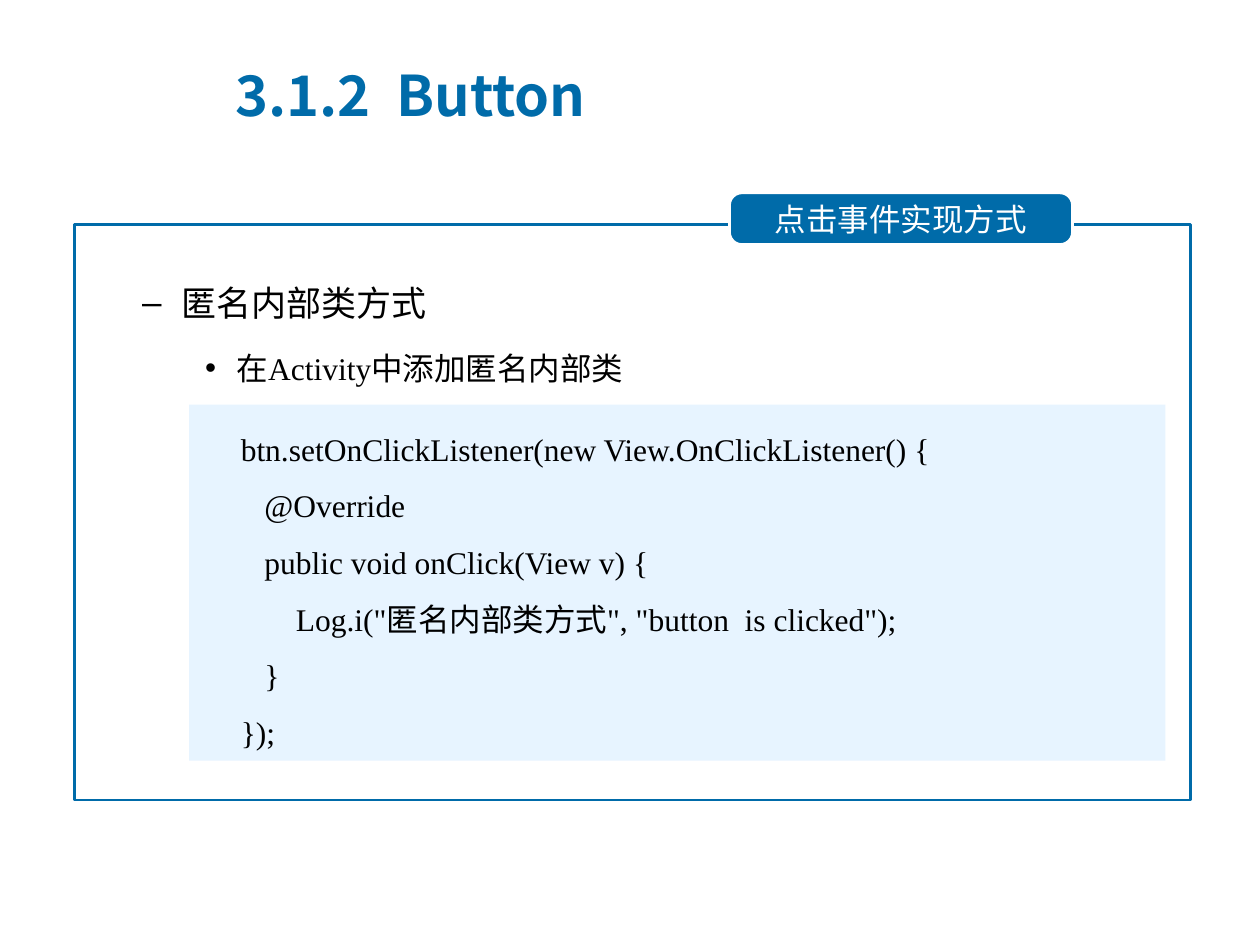
import pptx
import pptx.dml.color
import pptx.enum.shapes
import pptx.enum.text
import pptx.oxml
import pptx.oxml.ns
import pptx.util

Pt = pptx.util.Pt
RGBColor = pptx.dml.color.RGBColor
SHAPE = pptx.enum.shapes.MSO_SHAPE
ANCHOR = pptx.enum.text.MSO_ANCHOR
ALIGN = pptx.enum.text.PP_ALIGN

BLUE = RGBColor(0x00, 0x6B, 0xA9)
PALE_BLUE = RGBColor(0xE7, 0xF4, 0xFF)
WHITE = RGBColor(0xFF, 0xFF, 0xFF)
BLACK = RGBColor(0, 0, 0)

SANS = "Noto Sans CJK SC"
BODY = "Calibri"
SERIF = "Times New Roman"

SPACE_WIDTH = 4.5
CODE_LINES = [
    (5, "btn.setOnClickListener(new View.OnClickListener() {"),
    (8, "@Override"),
    (8, "public void onClick(View v) {"),
    (12, 'Log.i("匿名内部类方式", "button  is clicked");'),
    (8, "}"),
    (5, "});"),
]
OUTLINE = [
    ("–", 58.5, -22.5, 20, [("匿名内部类方式", BODY)]),
    ("•", 90, -18, 18, [("在Activity中添加", SERIF), ("匿名内部类", BODY)]),
]


def set_font(font, name, size, color, bold=False):
    font.name = name
    font.size = Pt(size)
    font.color.rgb = color
    font.bold = bold


def set_indent(paragraph, margin, first_line=0, bullet=None):
    properties = paragraph._p.get_or_add_pPr()
    properties.set("marL", str(Pt(margin)))
    properties.set("indent", str(Pt(first_line)))
    if bullet:
        namespace = pptx.oxml.ns.nsdecls("a")
        properties.append(pptx.oxml.parse_xml(f'<a:buFont {namespace} typeface="Arial"/>'))
        properties.append(pptx.oxml.parse_xml(f'<a:buChar {namespace} char="{bullet}"/>'))


def add_box(slide, preset, left, top, width, height, fill=None, line=None):
    shape = slide.shapes.add_shape(preset, Pt(left), Pt(top), Pt(width), Pt(height))
    shape.shadow.inherit = False
    if fill is None:
        shape.fill.background()
    else:
        shape.fill.solid()
        shape.fill.fore_color.rgb = fill
    if line is None:
        shape.line.fill.background()
    else:
        shape.line.color.rgb = line
        shape.line.width = Pt(1.5)
    return shape


def add_text_box(slide, left, top, width, height):
    frame = slide.shapes.add_textbox(Pt(left), Pt(top), Pt(width), Pt(height)).text_frame
    frame.word_wrap = True
    return frame


def add_title(slide, left, top, width, height):
    frame = add_text_box(slide, left, top, width, height)
    frame.vertical_anchor = ANCHOR.MIDDLE
    paragraph = frame.paragraphs[0]
    paragraph.text = "3.1.2  Button"
    set_font(paragraph.font, SANS, 32, BLUE, True)


def add_tab(slide, left, top, width, height):
    tab = add_box(slide, SHAPE.ROUNDED_RECTANGLE, left, top, width, height, BLUE, WHITE)
    tab.adjustments[0] = 0.24
    frame = tab.text_frame
    frame.vertical_anchor = ANCHOR.MIDDLE
    frame.margin_top = frame.margin_bottom = Pt(4)
    paragraph = frame.paragraphs[0]
    paragraph.text = "点击事件实现方式"
    paragraph.alignment = ALIGN.CENTER
    set_font(paragraph.font, SANS, 18, WHITE)


def add_outline(slide, left, top, width, height):
    frame = add_text_box(slide, left, top, width, height)
    for index, (bullet, margin, first_line, size, parts) in enumerate(OUTLINE):
        paragraph = frame.add_paragraph() if index else frame.paragraphs[0]
        paragraph.level = index + 1
        paragraph.line_spacing = 1.5
        paragraph.space_before = Pt(size * 0.2)
        set_indent(paragraph, margin, first_line, bullet)
        for text, font_name in parts:
            run = paragraph.add_run()
            run.text = text
            set_font(run.font, font_name, size, BLACK)


def add_code(slide, left, top, width, height):
    frame = add_box(slide, SHAPE.RECTANGLE, left, top, width, height, PALE_BLUE).text_frame
    frame.vertical_anchor = ANCHOR.TOP
    for index, (spaces, text) in enumerate(CODE_LINES):
        paragraph = frame.add_paragraph() if index else frame.paragraphs[0]
        paragraph.text = text
        paragraph.alignment = ALIGN.LEFT
        paragraph.line_spacing = 1.5
        set_indent(paragraph, spaces * SPACE_WIDTH)
        set_font(paragraph.font, SERIF, 18, BLACK)


def add_panel(slide, left, top, width, height):
    add_box(slide, SHAPE.RECTANGLE, left, top, width, height, line=BLUE)
    add_tab(slide, left + 374.4, top - 18, 196, 29.5)
    add_outline(slide, left - 4.3, top + 17.3, 628, 75.6)
    add_code(slide, left + 65.5, top + 103, 558, 203.5)


def main():
    presentation = pptx.Presentation()
    presentation.slide_width = Pt(720)
    presentation.slide_height = Pt(540)
    slide = presentation.slides.add_slide(presentation.slide_layouts[6])
    add_panel(slide, 42.5, 128.2, 638, 329)
    add_title(slide, 127.4, 31.7, 556, 44)
    presentation.save("out.pptx")


if __name__ == "__main__":
    main()
